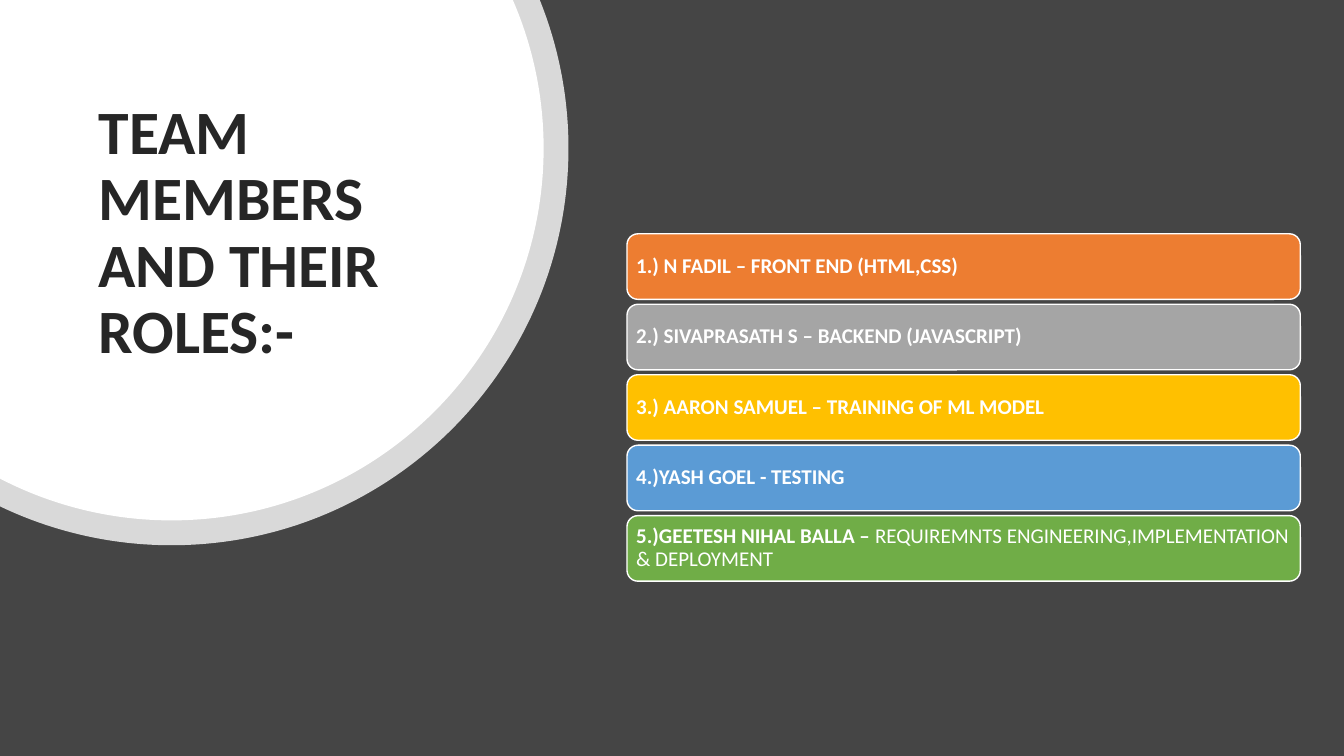
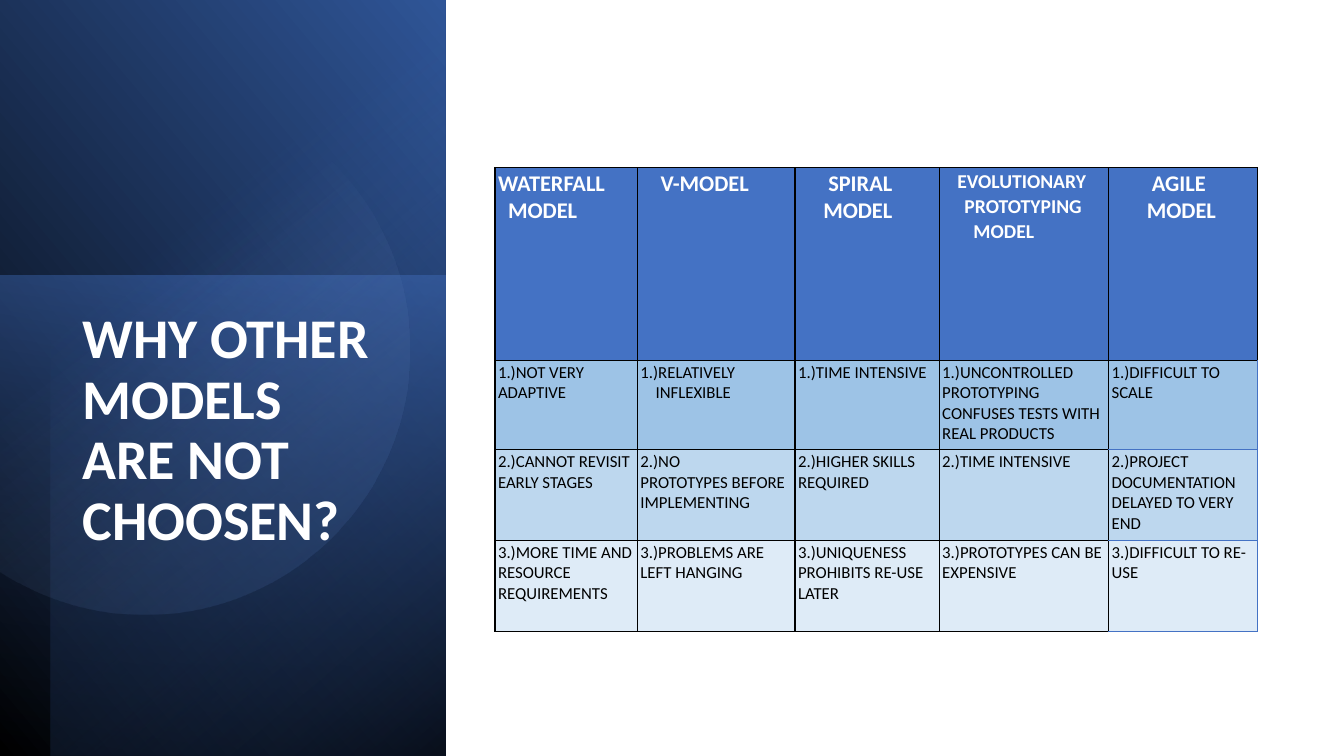
from dataclasses import dataclass
from itertools import pairwise
from math import acos, asin, cos, pi, sin, tan

from lxml import etree
from pptx import Presentation
from pptx.dml.color import RGBColor
from pptx.enum.shapes import MSO_SHAPE
from pptx.enum.text import MSO_ANCHOR, PP_ALIGN
from pptx.oxml.ns import qn
from pptx.util import Inches, Pt

RECTANGLE = MSO_SHAPE.RECTANGLE
ROUNDED = MSO_SHAPE.ROUNDED_RECTANGLE
TOP, MIDDLE = MSO_ANCHOR.TOP, MSO_ANCHOR.MIDDLE
LEFT = PP_ALIGN.LEFT
WIDTH, HEIGHT = Inches(13.33), Inches(7.5)


@dataclass(frozen=True)
class Theme:
    font: str = "Calibri"
    white: str = "FFFFFF"
    black: str = "000000"
    charcoal: str = "454545"
    ink: str = "262626"
    blue: str = "4472C4"
    deep_blue: str = "2F5597"
    navy: str = "203864"
    pale_blue: str = "8FAADC"
    bars: tuple = ("ED7D31", "A5A5A5", "FFC000", "5B9BD5", "70AD47")
    body_rows: tuple = ("9DC3E6", "BDD7EE", "DEEBF7")
    team_title: int = 44
    models_title: int = 40
    bar_text: int = 15
    header_text: int = 16
    long_header_text: int = 14
    body_text: int = 12
    rule: float = 1
    fine_rule: float = 0.5


THEME = Theme()

MEMBERS = (
    ("1.) N FADIL – FRONT END (HTML,CSS)", ""),
    ("2.) SIVAPRASATH S – BACKEND (JAVASCRIPT)", ""),
    ("3.) AARON SAMUEL – TRAINING OF ML MODEL", ""),
    ("4.)YASH GOEL - TESTING", ""),
    ("5.)GEETESH NIHAL BALLA – ",
     "REQUIREMNTS ENGINEERING,IMPLEMENTATION & DEPLOYMENT"),
)

HEADERS = (
    ((0, "WATERFALL"), (0.1, "MODEL")),
    ((0.2, "V-MODEL"),),
    ((0.3, "SPIRAL"), (0.25, "MODEL")),
    ((0.15, "EVOLUTIONARY"), (0.22, "PROTOTYPING"), (0.31, "MODEL")),
    ((0.4, "AGILE"), (0.35, "MODEL")),
)

DRAWBACKS = (
    (((0, "1.)NOT VERY ADAPTIVE"),),
     ((0, "1.)RELATIVELY"), (0.15, "INFLEXIBLE")),
     ((0, "1.)TIME INTENSIVE"),),
     ((0, "1.)UNCONTROLLED PROTOTYPING CONFUSES TESTS WITH REAL PRODUCTS"),),
     ((0, "1.)DIFFICULT TO SCALE"),)),
    (((0, "2.)CANNOT REVISIT EARLY STAGES"),),
     ((0, "2.)NO"), (0, "PROTOTYPES BEFORE IMPLEMENTING")),
     ((0, "2.)HIGHER SKILLS REQUIRED"),),
     ((0, "2.)TIME INTENSIVE"),),
     ((0, "2.)PROJECT DOCUMENTATION DELAYED TO VERY END"),)),
    (((0, "3.)MORE TIME AND RESOURCE REQUIREMENTS"),),
     ((0, "3.)PROBLEMS ARE LEFT HANGING"),),
     ((0, "3.)UNIQUENESS PROHIBITS RE-USE LATER"),),
     ((0, "3.)PROTOTYPES CAN BE EXPENSIVE"),),
     ((0, "3.)DIFFICULT TO RE-USE"),)),
)


def across(percent):
    return round(WIDTH * percent / 100)


def down(percent):
    return round(HEIGHT * percent / 100)


def place(left, top, width, height):
    return across(left), down(top), across(width), down(height)


def add_page(deck, colour):
    page = deck.slides.add_slide(deck.slide_layouts[6])
    page.background.fill.solid()
    page.background.fill.fore_color.rgb = RGBColor.from_string(colour)
    return page


def add_span(para, text, size, colour, bold=False):
    span = para.add_run()
    span.text = text
    span.font.name = THEME.font
    span.font.size = Pt(size)
    span.font.bold = bold
    span.font.color.rgb = RGBColor.from_string(colour)


def add_colour(parent, colour, opacity=100):
    node = etree.SubElement(parent, qn("a:srgbClr"), val=colour)
    if opacity < 100:
        etree.SubElement(node, qn("a:alpha"), val=str(opacity * 1000))


def paint(shape, stops, angle=None):
    shape.shadow.inherit = False
    shape.line.fill.background()
    shape.fill.background()
    blank = shape.element.spPr.find(qn("a:noFill"))
    if angle is None:
        fill = etree.Element(qn("a:solidFill"))
        add_colour(fill, *stops)
    else:
        fill = etree.Element(qn("a:gradFill"), rotWithShape="1")
        stop_list = etree.SubElement(fill, qn("a:gsLst"))
        for position, colour, opacity in stops:
            stop = etree.SubElement(stop_list, qn("a:gs"), pos=str(position * 1000))
            add_colour(stop, colour, opacity)
        etree.SubElement(fill, qn("a:lin"), ang=str(angle * 60000), scaled="0")
    shape.element.spPr.replace(blank, fill)


def add_panel(page, area, stops, angle):
    paint(page.shapes.add_shape(RECTANGLE, *place(*area)), stops, angle)


def arc_points(x, y, reach, start, end):
    quarters = [turn * pi / 2 for turn in range(-2, 3) if start < turn * pi / 2 < end]
    points = [(x + reach * cos(start), y + reach * sin(start))]
    for a, b in pairwise([start, *quarters, end]):
        pull = reach * 4 / 3 * tan((b - a) / 4)
        ax, ay = x + reach * cos(a), y + reach * sin(a)
        bx, by = x + reach * cos(b), y + reach * sin(b)
        points += [(ax - pull * sin(a), ay + pull * cos(a)),
                   (bx + pull * sin(b), by - pull * cos(b)), (bx, by)]
    return [(round(px), round(py)) for px, py in points]


def bend_lines(shape, first):
    lines = list(shape.element.spPr.iter(qn("a:lnTo")))[first:]
    for index in range(0, len(lines), 3):
        curve = etree.Element(qn("a:cubicBezTo"))
        lines[index].addprevious(curve)
        for line in lines[index:index + 3]:
            curve.append(line[0])
            line.getparent().remove(line)


def add_edge_disc(page, centre_x, centre_y, radius, stops, angle=None):
    x, y, reach = across(centre_x), down(centre_y), across(radius)
    end = acos(-x / reach)
    meets_top = y < reach
    start = -asin(y / reach) if meets_top else -end
    points = arc_points(x, y, reach, start, end)
    if meets_top:
        points.insert(0, (0, 0))
    outline = page.shapes.build_freeform(*points[0])
    outline.add_line_segments(points[1:], close=True)
    disc = outline.convert_to_shape()
    bend_lines(disc, int(meets_top))
    paint(disc, stops, angle)


def add_title(page, area, text, size, colour, anchor):
    frame = page.shapes.add_textbox(*place(*area)).text_frame
    frame.word_wrap = True
    frame.vertical_anchor = anchor
    para = frame.paragraphs[0]
    para.line_spacing = 0.9
    add_span(para, text, size, colour, bold=True)


def add_bar(page, area, colour, name, role):
    bar = page.shapes.add_shape(ROUNDED, *place(*area))
    bar.shadow.inherit = False
    bar.fill.solid()
    bar.fill.fore_color.rgb = RGBColor.from_string(colour)
    bar.line.color.rgb = RGBColor.from_string(THEME.white)
    bar.line.width = Pt(THEME.rule)
    frame = bar.text_frame
    frame.word_wrap = True
    frame.vertical_anchor = MIDDLE
    frame.margin_left = frame.margin_right = Inches(0.06)
    frame.margin_top = frame.margin_bottom = Inches(0.06)
    para = frame.paragraphs[0]
    para.alignment = LEFT
    para.line_spacing = 0.9
    add_span(para, name, THEME.bar_text, THEME.white, bold=True)
    if role:
        add_span(para, role, THEME.bar_text, THEME.white)


def add_borders(cell, fine_sides):
    properties = cell._tc.get_or_add_tcPr()
    for side in "LRTB":
        fine = side in fine_sides
        width = THEME.fine_rule if fine else THEME.rule
        line = etree.SubElement(properties, qn(f"a:ln{side}"), w=str(Pt(width)))
        fill = etree.SubElement(line, qn("a:solidFill"))
        add_colour(fill, THEME.blue if fine else THEME.black)


def fill_cell(cell, lines, size, ink, colour, bold=False, fine_sides=""):
    add_borders(cell, fine_sides)
    cell.fill.solid()
    cell.fill.fore_color.rgb = RGBColor.from_string(colour)
    cell.margin_left = cell.margin_right = Inches(0.03)
    cell.margin_top = cell.margin_bottom = Inches(0.02)
    frame = cell.text_frame
    for index, (indent, text) in enumerate(lines):
        para = frame.add_paragraph() if index else frame.paragraphs[0]
        if indent:
            para._p.get_or_add_pPr().set("marL", str(Inches(indent)))
        if size == THEME.long_header_text:
            para.space_before = Pt(1)
        add_span(para, text, size, ink, bold)


def add_model_table(page, left, top, columns, rows):
    area = place(left, top, sum(columns), sum(rows))
    table = page.shapes.add_table(len(rows), len(columns), *area).table
    table.horz_banding = False
    for column, share in zip(table.columns, columns):
        column.width = across(share)
    for row, share in zip(table.rows, rows):
        row.height = down(share)
    for index, lines in enumerate(HEADERS):
        size = THEME.long_header_text if len(lines) > 2 else THEME.header_text
        fill_cell(table.cell(0, index), lines, size, THEME.white, THEME.blue, bold=True)
    for row, (entries, colour) in enumerate(zip(DRAWBACKS, THEME.body_rows), 1):
        for column, lines in enumerate(entries):
            fine_sides = ""
            if column == len(columns) - 1:
                fine_sides = "RB" if row == 1 else "RTB"
            fill_cell(table.cell(row, column), lines, THEME.body_text,
                      THEME.black, colour, fine_sides=fine_sides)


def build_team(deck):
    page = add_page(deck, THEME.charcoal)
    add_edge_disc(page, 12.75, 19.6, 29.55, (THEME.white, 80))
    add_edge_disc(page, 12.75, 19.6, 27.7, (THEME.white,))
    add_title(page, (6.6, 8.8, 26.4, 44.27), "TEAM MEMBERS AND THEIR ROLES:-",
              THEME.team_title, THEME.ink, MIDDLE)
    for index, (colour, member) in enumerate(zip(THEME.bars, MEMBERS)):
        add_bar(page, (46.65, 30.93 + 9.32 * index, 50.1, 8.67), colour, *member)


def build_models(deck):
    page = add_page(deck, THEME.white)
    add_panel(page, (0, 0, 33.15, 100),
              ((0, THEME.black, 100), (100, THEME.deep_blue, 100)), 320)
    add_panel(page, (0, 36.4, 33.15, 63.6),
              ((0, THEME.blue, 50), (100, THEME.navy, 0)), 100)
    add_panel(page, (3.75, 0, 29.4, 100),
              ((0, THEME.black, 59), (69, THEME.blue, 0)), 230)
    add_edge_disc(page, 10.73, 46.27, 19.7,
                  ((39, THEME.pale_blue, 0), (100, THEME.deep_blue, 26)), 52)
    add_title(page, (5.4, 40.4, 23.63, 44.8), "WHY OTHER MODELS ARE NOT CHOOSEN?",
              THEME.models_title, THEME.white, TOP)
    add_model_table(page, 36.83, 22.2, (10.6, 11.73, 10.73, 12.6, 11.07),
                    (25.5, 11.8, 12, 12))


def main():
    deck = Presentation()
    deck.slide_width, deck.slide_height = WIDTH, HEIGHT
    build_team(deck)
    build_models(deck)
    deck.save("out.pptx")


if __name__ == "__main__":
    main()
